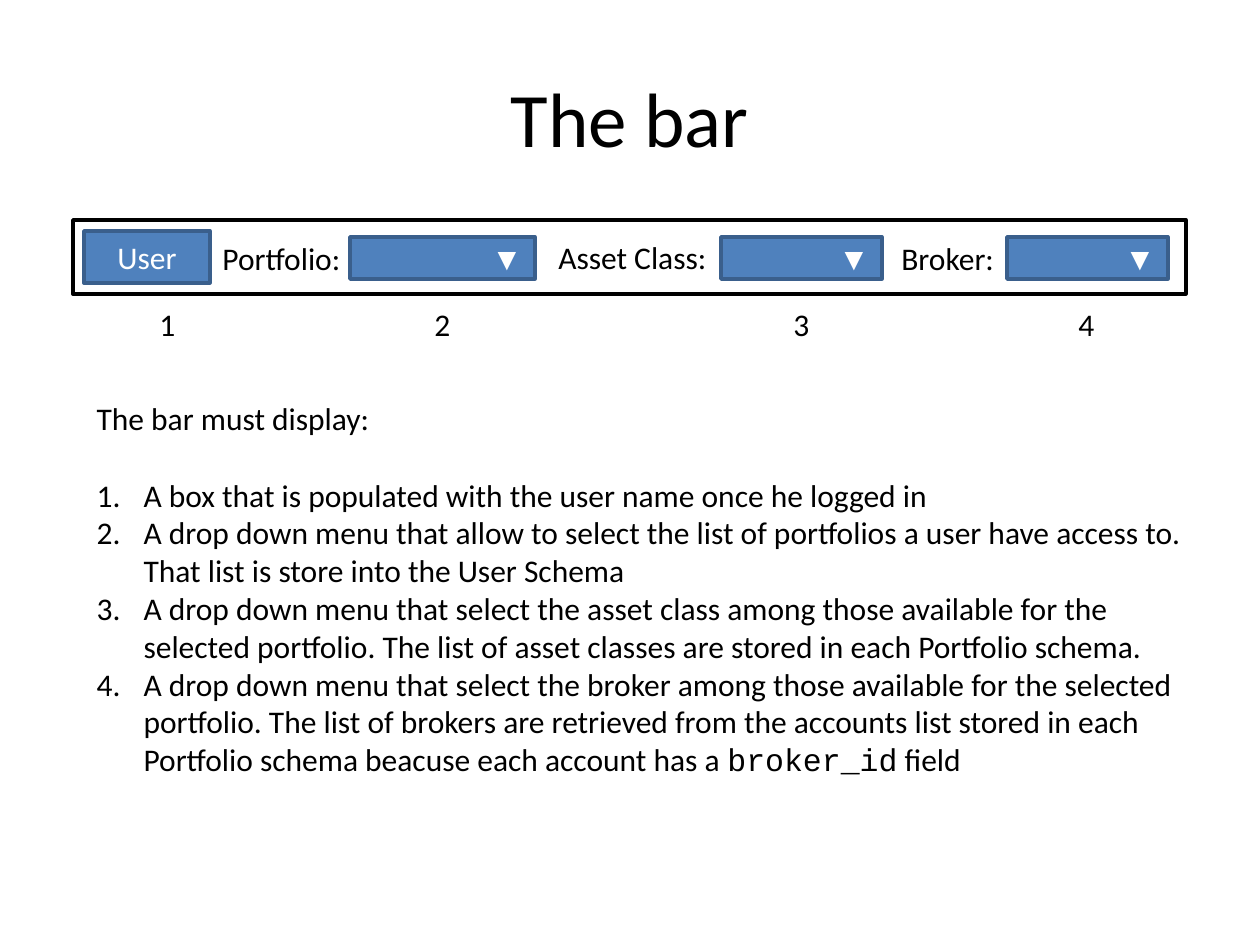
from dataclasses import dataclass

import pptx
import pptx.dml.color
import pptx.enum.shapes
import pptx.enum.text
import pptx.oxml
import pptx.oxml.ns
import pptx.util

EMU_PER_PIXEL = 914400 // 126
ALIGN = pptx.enum.text.PP_ALIGN
ANCHOR = pptx.enum.text.MSO_ANCHOR


@dataclass(frozen=True)
class Theme:
    ink: str = "000000"
    paper: str = "FFFFFF"
    control: str = "4F81BD"
    control_edge: str = "3A5F8C"
    font: str = "Calibri"
    symbol_font: str = "Arial"
    code_font: str = "Courier New"
    title_size: int = 44
    text_size: int = 18
    line_width: int = 2


THEME = Theme()

REQUIREMENTS = [
    ["A box that is populated with the user name once he logged in"],
    ["A drop down menu that allow to select the list of portfolios a user have access to. "
     "That list is store into the User Schema"],
    ["A drop down menu that select the asset class among those available for the selected "
     "portfolio. The list of asset classes are stored in each Portfolio schema."],
    ["A drop down menu that select the broker among those available for the selected "
     "portfolio. The list of brokers are retrieved from the accounts list stored in each "
     "Portfolio schema beacuse each account has a ", "broker_id", " field"],
]


def emu(*pixels):
    return [pptx.util.Emu(pixel * EMU_PER_PIXEL) for pixel in pixels]


def color(value):
    return pptx.dml.color.RGBColor.from_string(value)


def style(paragraph, ink=THEME.ink, font=THEME.font, size=THEME.text_size):
    paragraph.font.name = font
    paragraph.font.size = pptx.util.Pt(size)
    paragraph.font.color.rgb = color(ink)


def place(shape, *box):
    shape.left, shape.top, shape.width, shape.height = emu(*box)


def add_box(slide, box, edge, fill=None):
    shape = slide.shapes.add_shape(pptx.enum.shapes.MSO_SHAPE.RECTANGLE, *emu(*box))
    shape.shadow.inherit = False
    if fill:
        shape.fill.solid()
        shape.fill.fore_color.rgb = color(fill)
    else:
        shape.fill.background()
    shape.line.color.rgb = color(edge)
    shape.line.width = pptx.util.Pt(THEME.line_width)
    return shape


def add_control(slide, box, text, alignment, font=THEME.font):
    shape = add_box(slide, box, THEME.control_edge, THEME.control)
    shape.text_frame.text = text
    shape.text_frame.vertical_anchor = ANCHOR.MIDDLE
    paragraph = shape.text_frame.paragraphs[0]
    paragraph.alignment = alignment
    style(paragraph, THEME.paper, font)


def add_dropdown(slide, left, width):
    add_control(slide, (left, 237, width, 42), "▼", ALIGN.RIGHT, THEME.symbol_font)


def add_label(slide, left, top, width, text):
    label = slide.shapes.add_textbox(*emu(left, top, width, 50))
    label.text_frame.word_wrap = False
    label.text_frame.text = text
    style(label.text_frame.paragraphs[0])


def set_bullet(paragraph, indent, tag, **attributes):
    properties = paragraph._p.get_or_add_pPr()
    margin = emu(indent)[0]
    properties.set("marL", str(margin))
    properties.set("indent", str(-margin))
    bullet = pptx.oxml.parse_xml(f'<a:{tag} {pptx.oxml.ns.nsdecls("a")}/>')
    for name, value in attributes.items():
        bullet.set(name, value)
    properties.append(bullet)


def fill_title(title):
    place(title, 63, 38, 1134, 158)
    title.text_frame.text = "The bar"
    title.text_frame.vertical_anchor = ANCHOR.MIDDLE
    paragraph = title.text_frame.paragraphs[0]
    paragraph.alignment = ALIGN.CENTER
    style(paragraph, size=THEME.title_size)


def fill_body(body):
    place(body, 84, 393, 1124, 432)
    frame = body.text_frame
    frame.auto_size = pptx.enum.text.MSO_AUTO_SIZE.NONE
    intro = frame.paragraphs[0]
    intro.text = "The bar must display:"
    intro.space_before = pptx.util.Pt(0)
    set_bullet(intro, 0, "buNone")
    style(intro)
    for index, parts in enumerate(REQUIREMENTS):
        paragraph = frame.add_paragraph()
        paragraph.space_before = pptx.util.Pt(0 if index else 22)
        set_bullet(paragraph, 47, "buAutoNum", type="arabicPeriod")
        style(paragraph)
        for part in parts:
            run = paragraph.add_run()
            run.text = part
            if part == "broker_id":
                run.font.name = THEME.code_font


def main():
    presentation = pptx.Presentation()
    presentation.slide_width = pptx.util.Inches(10)
    presentation.slide_height = pptx.util.Inches(7.5)
    slide = presentation.slides.add_slide(presentation.slide_layouts[1])
    fill_title(slide.shapes.title)
    fill_body(slide.placeholders[1])

    add_box(slide, (73, 220, 1113, 74), THEME.ink)
    add_control(slide, (84, 231, 126, 52), "User", ALIGN.CENTER)
    for left, top, width, text in [
        (210, 233, 145, "Portfolio:"),
        (546, 232, 175, "Asset Class:"),
        (889, 233, 119, "Broker:"),
    ]:
        add_label(slide, left, top, width, text)
    for left, width in [(350, 185), (721, 161), (1007, 161)]:
        add_dropdown(slide, left, width)
    for number, left in enumerate([147, 422, 781, 1066], start=1):
        add_label(slide, left, 299, 42, str(number))

    presentation.save("out.pptx")


main()
